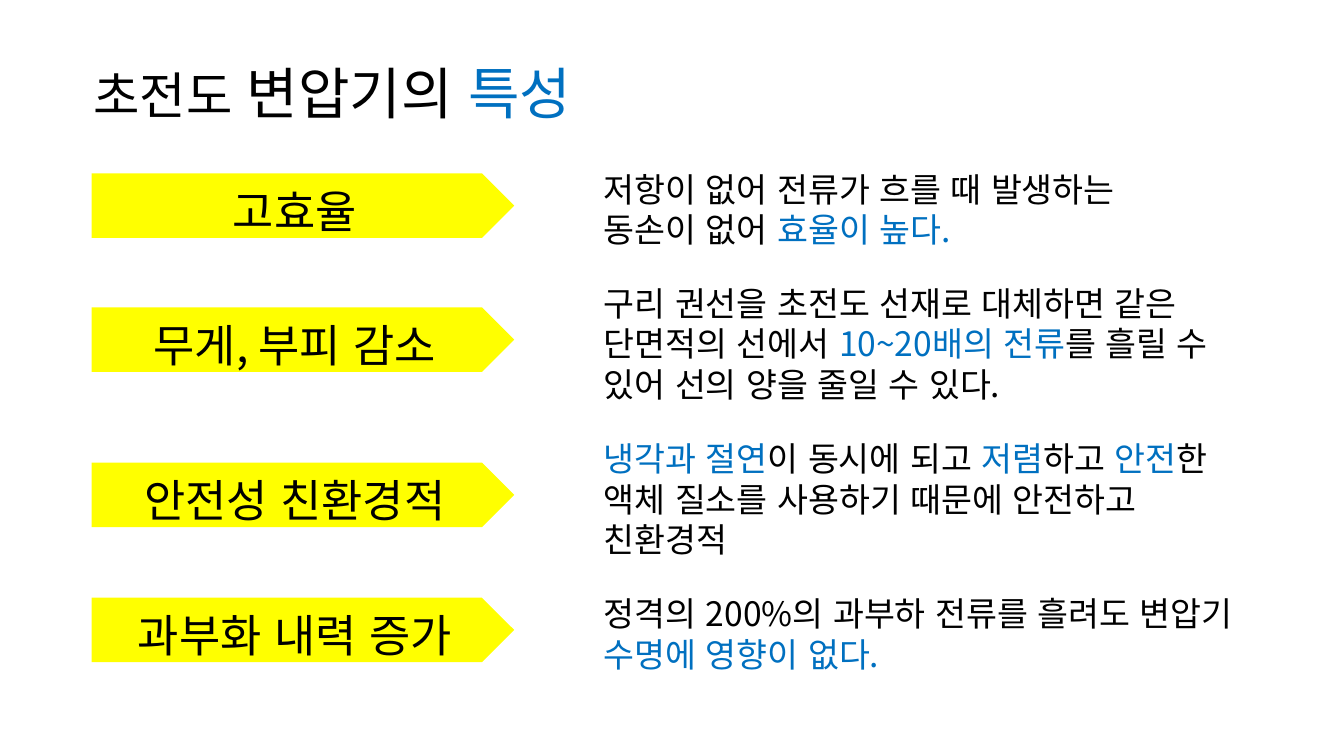
import pptx
import pptx.util
import pptx.dml.color
import pptx.enum.shapes
import pptx.enum.text
import pptx.oxml.ns
from lxml import etree

# Content: runs are (text, colour, size); rows are (label, row top, text lines, text width, runs)
FONT = "Noto Sans CJK KR"
COLOURS = {"text": "000000", "accent": "0070C0", "plate": "FFFF00"}
TITLE = [("초전도 ", "text", 36), ("변압기의 ", "text", 40), ("특성", "accent", 40)]
FEATURES = [
    ("고효율", 1.59, 2, 5.84, [
        ("저항이 없어 전류가 흐를 때 발생하는 동손이 없어 ", "text"),
        ("효율이 높다.", "accent")]),
    ("무게, 부피 감소", 2.72, 3, 6.67, [
        ("구리 권선을 초전도 선재로 대체하면 같은 단면적의 선에서 ", "text"),
        ("10~20배의 전류", "accent"),
        ("를 흘릴 수 있어 선의 양을 줄일 수 있다.", "text")]),
    ("안전성 친환경적", 4.26, 3, 6.67, [
        ("냉각과 절연", "accent"), ("이 동시에 되고 ", "text"),
        ("저렴", "accent"), ("하고 ", "text"), ("안전", "accent"),
        ("한 액체 질소를 사용하기 때문에 안전하고 친환경적", "text")]),
    ("과부화 내력 증가", 5.8, 2, 6.67, [
        ("정격의 200%의 과부하 전류를 흘려도 변압기 ", "text"),
        ("수명에 영향이 없다.", "accent")]),
]

# Layout in inches, sizes in points
TITLE_BOX = (0.83, 0.47, 5.44, 0.77)
PLATE_LEFT, PLATE_WIDTH, PLATE_HEIGHT = 0.91, 4.19, 0.64
TEXT_LEFT = 5.89
LABEL_SIZE, BODY_SIZE = 32, 24
LINE_RATIO = 1.2
BASELINE_SHIFT = 0.11
INSET = 0.05


def colour(name):
    return pptx.dml.color.RGBColor.from_string(COLOURS[name])


def write(shape, runs, wrap, alignment, anchor):
    size = max(run[2] for run in runs)
    shift = size * BASELINE_SHIFT / 72
    frame = shape.text_frame
    frame_format = {
        "word_wrap": wrap, "vertical_anchor": anchor,
        "margin_top": pptx.util.Inches(INSET + shift),
        "margin_bottom": pptx.util.Inches(INSET - shift),
    }
    for name, value in frame_format.items():
        setattr(frame, name, value)
    paragraph = frame.paragraphs[0]
    paragraph.alignment = alignment
    paragraph.line_spacing = pptx.util.Pt(size * LINE_RATIO)
    for text, colour_name, run_size in runs:
        run = paragraph.add_run()
        run.text = text
        for name, value in {"name": FONT, "size": pptx.util.Pt(run_size)}.items():
            setattr(run.font, name, value)
        run.font.color.rgb = colour(colour_name)
        properties = run._r.get_or_add_rPr()
        properties.set("lang", "ko-KR")
        east_asian = etree.SubElement(properties, pptx.oxml.ns.qn("a:ea"))
        east_asian.set("typeface", FONT)


def add_text(slide, box, runs, wrap):
    shape = slide.shapes.add_textbox(*map(pptx.util.Inches, box))
    write(shape, runs, wrap, pptx.enum.text.PP_ALIGN.LEFT, pptx.enum.text.MSO_ANCHOR.TOP)


def add_plate(slide, box, label):
    shape = slide.shapes.add_shape(
        pptx.enum.shapes.MSO_SHAPE.PENTAGON, *map(pptx.util.Inches, box))
    shape.shadow.inherit = False
    shape.fill.solid()
    shape.fill.fore_color.rgb = colour("plate")
    shape.line.fill.background()
    write(shape, [(label, "text", LABEL_SIZE)], True,
          pptx.enum.text.PP_ALIGN.CENTER, pptx.enum.text.MSO_ANCHOR.MIDDLE)


def main():
    presentation = pptx.Presentation()
    presentation.slide_width = pptx.util.Inches(13.33)
    presentation.slide_height = pptx.util.Inches(7.5)
    slide = presentation.slides.add_slide(presentation.slide_layouts[6])

    # Title
    add_text(slide, TITLE_BOX, TITLE, False)

    # Each plate is centred on its description
    for label, top, lines, width, runs in FEATURES:
        height = lines * BODY_SIZE * LINE_RATIO / 72 + 2 * INSET
        sized_runs = [(text, name, BODY_SIZE) for text, name in runs]
        add_text(slide, (TEXT_LEFT, top, width, height), sized_runs, True)
        plate_top = top + (height - PLATE_HEIGHT) / 2
        add_plate(slide, (PLATE_LEFT, plate_top, PLATE_WIDTH, PLATE_HEIGHT), label)

    presentation.save("out.pptx")


if __name__ == "__main__":
    main()
